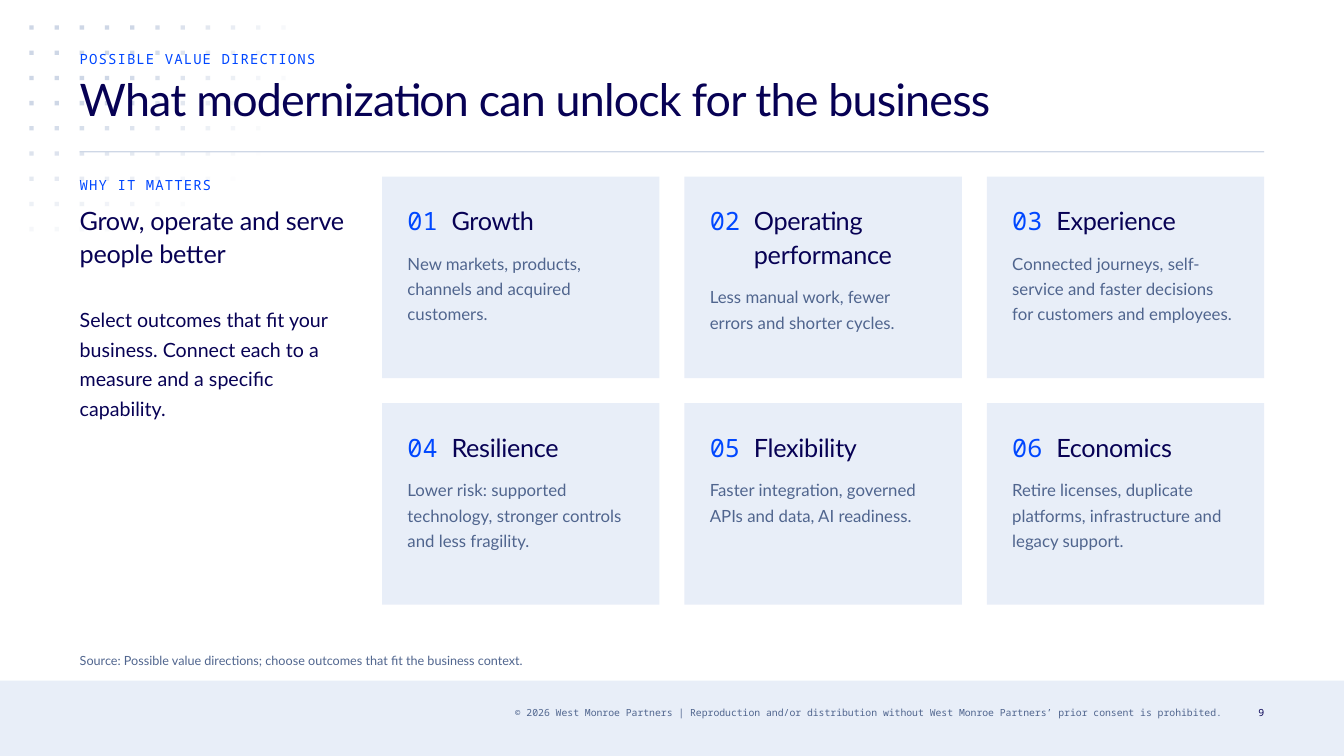
"""Build a slide showing six value directions that modernization can unlock."""
from dataclasses import dataclass
from itertools import product
from math import hypot

from lxml.etree import SubElement
from pptx import Presentation
from pptx.dml.color import RGBColor
from pptx.enum.shapes import MSO_SHAPE
from pptx.enum.text import PP_ALIGN
from pptx.oxml.ns import qn
from pptx.slide import Slide
from pptx.util import Cm, Pt

COLOURS = {
    "panel": "E8EEF8",
    "rule": "CED7E6",
    "muted": "50658E",
    "accent": "0047FF",
    "navy": "070154",
}
PAGE_WIDTH, PAGE_HEIGHT = 33.87, 19.05
MARGIN, CONTENT_WIDTH = 2.01, 29.85
COLUMN_WIDTH, GUTTER = 6.99, 0.63
CARD_TOP, CARD_HEIGHT = 4.45, 5.08
CARDS_PER_ROW = 3
PADDING, HEADING_INDENT, LINE_HEIGHT = 0.64, 1.11, 0.85
DOT_START, DOT_SIZE, DOT_PITCH = (0.74, 0.64), 0.11, 2.54 / 4
DOT_COLUMNS, DOT_ROWS = 11, 9
FADE_COLUMNS, FADE_ROWS, FADE_STRENGTH, FADE_CUTOFF = 11.08, 9.07, 153, 2


@dataclass(frozen=True)
class Frame:
    left: float
    top: float
    width: float
    height: float


@dataclass(frozen=True)
class Style:
    size: float
    leading: float
    colour: str
    font: str = "Lato"
    spacing: float = 0
    align: PP_ALIGN = PP_ALIGN.LEFT


@dataclass(frozen=True)
class Label:
    text: str
    frame: Frame
    style: Style


@dataclass(frozen=True)
class Card:
    heading: str
    body: str
    heading_lines: int = 1


MONO = "Noto Sans Mono"
EYEBROW = Style(10, 12, "accent", MONO, 0.8)
TITLE = Style(32, 36, "navy", spacing=-0.6)
HEADING = Style(18, 24, "navy", spacing=-0.2)
NUMBER = Style(18, 24, "accent", MONO)
LEAD = Style(14, 21, "navy")
BODY = Style(12, 18, "muted")
SOURCE = Style(9, 12, "muted")
LEGAL = Style(7, 9, "muted", MONO, align=PP_ALIGN.RIGHT)
PAGE_NUMBER = Style(7, 9, "navy", MONO, align=PP_ALIGN.RIGHT)

LABELS = [
    Label("© 2026 West Monroe Partners | Reproduction and/or distribution without "
          "West Monroe Partners’ prior consent is prohibited.",
          Frame(6.03, 17.78, 24.77, 0.64), LEGAL),
    Label("POSSIBLE VALUE DIRECTIONS", Frame(MARGIN, 1.27, CONTENT_WIDTH, 0.42), EYEBROW),
    Label("What modernization can unlock for the business",
          Frame(MARGIN, 1.9, CONTENT_WIDTH, 1.9), TITLE),
    Label("Source: Possible value directions; choose outcomes that fit the business context.",
          Frame(MARGIN, 16.4, CONTENT_WIDTH, 0.42), SOURCE),
    Label("9", Frame(31.01, 17.78, 0.85, 0.64), PAGE_NUMBER),
    Label("WHY IT MATTERS", Frame(MARGIN, CARD_TOP, COLUMN_WIDTH, 0.42), EYEBROW),
    Label("Grow, operate and serve people better",
          Frame(MARGIN, 5.08, COLUMN_WIDTH, 1.9), HEADING),
    Label("Select outcomes that fit your business. Connect each to a measure "
          "and a specific capability.", Frame(MARGIN, 7.62, COLUMN_WIDTH, 2.96), LEAD),
]
CARDS = [
    Card("Growth", "New markets, products, channels and acquired customers."),
    Card("Operating performance", "Less manual work, fewer errors and shorter cycles.", 2),
    Card("Experience", "Connected journeys, self-service and faster decisions "
         "for customers and employees."),
    Card("Resilience", "Lower risk: supported technology, stronger controls "
         "and less fragility."),
    Card("Flexibility", "Faster integration, governed APIs and data, AI readiness."),
    Card("Economics", "Retire licenses, duplicate platforms, infrastructure "
         "and legacy support."),
]


def lengths(frame: Frame) -> tuple[Cm, Cm, Cm, Cm]:
    return Cm(frame.left), Cm(frame.top), Cm(frame.width), Cm(frame.height)


def draw_block(page: Slide, frame: Frame, colour: str, opacity: int = 100) -> None:
    block = page.shapes.add_shape(MSO_SHAPE.RECTANGLE, *lengths(frame))
    block.shadow.inherit = False
    block.line.fill.background()
    block.fill.solid()
    block.fill.fore_color.rgb = RGBColor.from_string(COLOURS[colour])
    if opacity < 100:
        tint = block.element.spPr.find(f"{qn('a:solidFill')}/{qn('a:srgbClr')}")
        SubElement(tint, qn("a:alpha")).set("val", str(opacity * 1000))


def draw_label(page: Slide, label: Label) -> None:
    style = label.style
    box = page.shapes.add_textbox(*lengths(label.frame))
    text_frame = box.text_frame
    text_frame.word_wrap = True
    text_frame.margin_left = text_frame.margin_right = Cm(0)
    text_frame.margin_top = text_frame.margin_bottom = Cm(0)
    text_frame.text = label.text
    para = text_frame.paragraphs[0]
    para.alignment = style.align
    para.line_spacing = Pt(style.leading)
    span = para.runs[0]
    span.font.name = style.font
    span.font.size = Pt(style.size)
    span.font.color.rgb = RGBColor.from_string(COLOURS[style.colour])
    if style.spacing:
        span._r.get_or_add_rPr().set("spc", str(round(style.spacing * 100)))


def draw_dots(page: Slide) -> None:
    left, top = DOT_START
    for column, row in product(range(DOT_COLUMNS), range(DOT_ROWS)):
        distance = hypot(column / FADE_COLUMNS, row / FADE_ROWS)
        opacity = min(100, round(FADE_STRENGTH * (1 - distance)))
        if opacity >= FADE_CUTOFF:
            frame = Frame(left + column * DOT_PITCH, top + row * DOT_PITCH, DOT_SIZE, DOT_SIZE)
            draw_block(page, frame, "rule", opacity)


def draw_card(page: Slide, index: int, card: Card) -> None:
    row, column = divmod(index, CARDS_PER_ROW)
    left = MARGIN + (column + 1) * (COLUMN_WIDTH + GUTTER)
    top = CARD_TOP + row * (CARD_HEIGHT + GUTTER)
    draw_block(page, Frame(left, top, COLUMN_WIDTH, CARD_HEIGHT), "panel")

    inner_left, inner_top = left + PADDING, top + PADDING
    inner_width = COLUMN_WIDTH - 2 * PADDING
    heading_height = card.heading_lines * LINE_HEIGHT
    body_top = inner_top + heading_height + 0.32
    for label in (
        Label(f"{index + 1:02}", Frame(inner_left, inner_top, 0.8, LINE_HEIGHT), NUMBER),
        Label(card.heading, Frame(inner_left + HEADING_INDENT, inner_top,
                                  inner_width - HEADING_INDENT, heading_height), HEADING),
        Label(card.body, Frame(inner_left, body_top, inner_width, 1.9), BODY),
    ):
        draw_label(page, label)


def main() -> None:
    deck = Presentation()
    deck.slide_width, deck.slide_height = Cm(PAGE_WIDTH), Cm(PAGE_HEIGHT)
    page = deck.slides.add_slide(deck.slide_layouts[6])
    draw_block(page, Frame(0, 17.15, PAGE_WIDTH, 1.9), "panel")
    draw_dots(page)
    draw_block(page, Frame(MARGIN, 3.81, CONTENT_WIDTH, 0.03), "rule")
    for label in LABELS:
        draw_label(page, label)
    for index, card in enumerate(CARDS):
        draw_card(page, index, card)
    deck.save("out.pptx")


if __name__ == "__main__":
    main()
